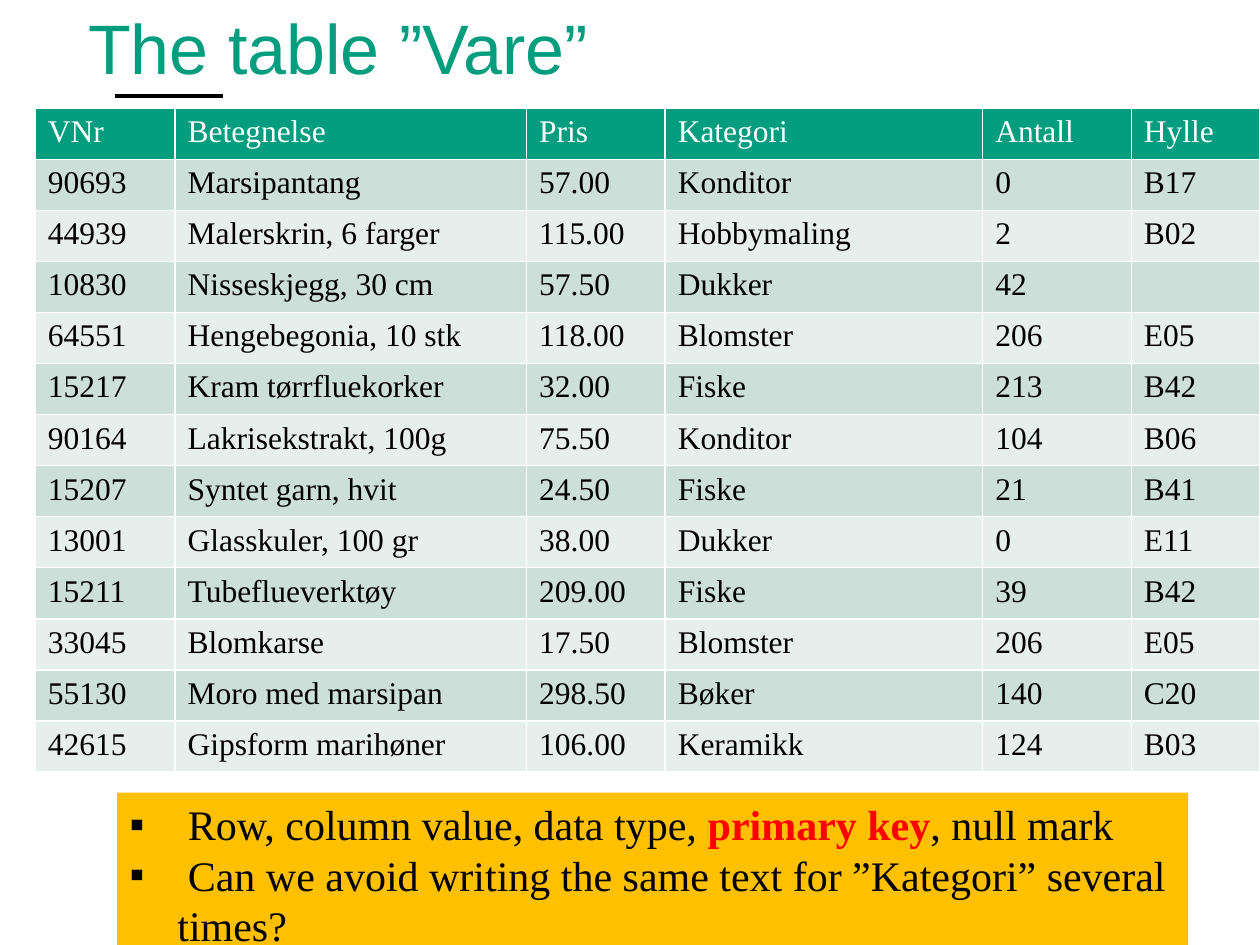
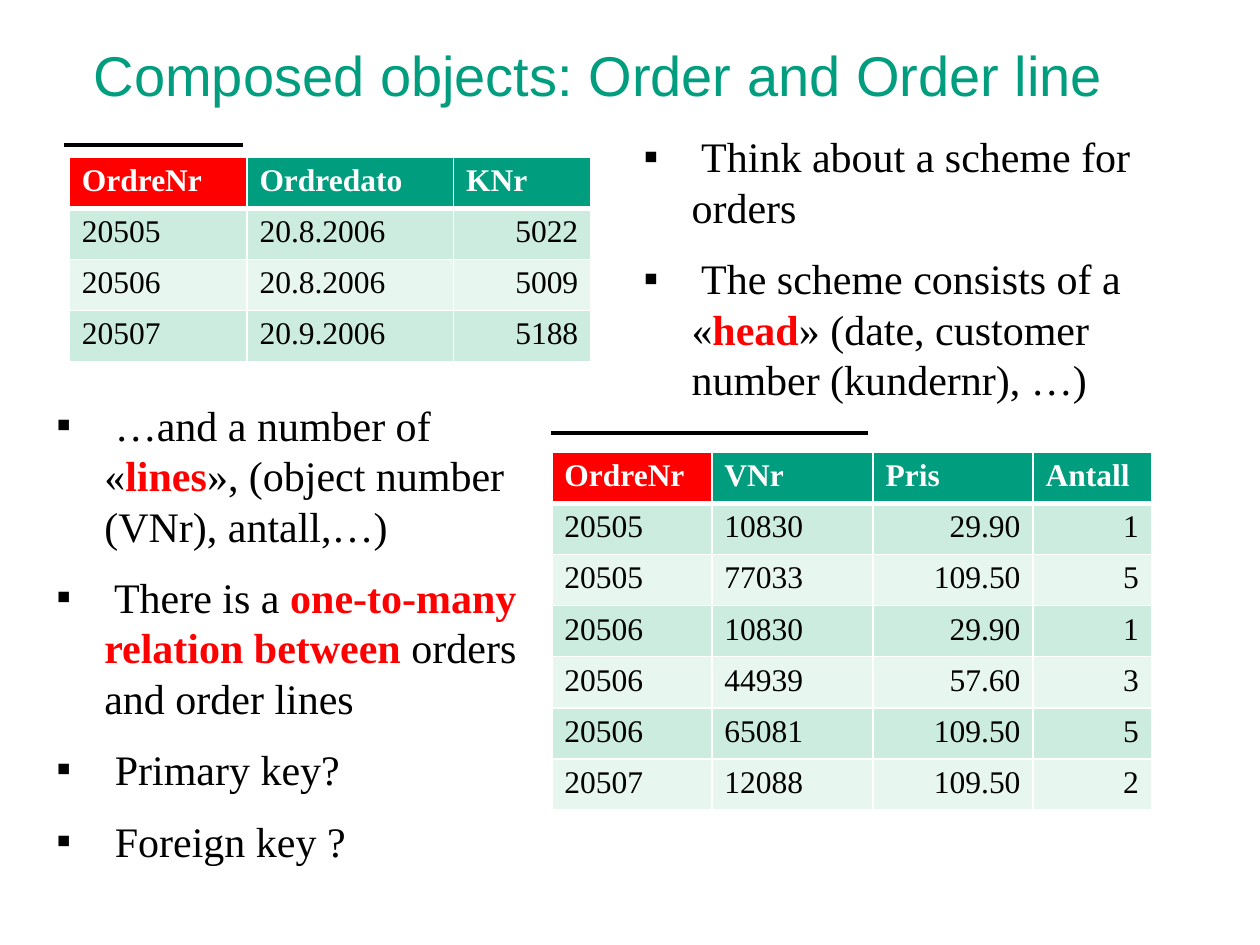
"""Build two slides on relational tables: the Vare table, and orders with order lines."""
from lxml import etree
from pptx import Presentation
from pptx.dml.color import RGBColor
from pptx.enum.shapes import MSO_CONNECTOR, MSO_SHAPE
from pptx.enum.text import MSO_ANCHOR, PP_ALIGN
from pptx.oxml.ns import qn
from pptx.util import Inches, Pt

STRAIGHT = MSO_CONNECTOR.STRAIGHT
RECTANGLE = MSO_SHAPE.RECTANGLE
TOP, BOTTOM = MSO_ANCHOR.TOP, MSO_ANCHOR.BOTTOM
LEFT, RIGHT = PP_ALIGN.LEFT, PP_ALIGN.RIGHT

GREEN = RGBColor(0x00, 0x9D, 0x7F)
RED = RGBColor(0xFF, 0x00, 0x00)
AMBER = RGBColor(0xFF, 0xC0, 0x00)
BLACK = RGBColor(0x00, 0x00, 0x00)
WHITE = RGBColor(0xFF, 0xFF, 0xFF)
GREY_BANDS = (RGBColor(0xCC, 0xDF, 0xD8), RGBColor(0xE7, 0xEF, 0xEC))
MINT_BANDS = (RGBColor(0xCB, 0xEC, 0xDE), RGBColor(0xE7, 0xF6, 0xEF))
TITLE_FONT = "Arial"
BODY_FONT = "Times New Roman"


def write(p, text, size=24, color=BLACK, bold=False, font=BODY_FONT):
    r = p.add_run()
    r.text = text
    r.font.size = Pt(size)
    r.font.color.rgb = color
    r.font.bold = bold
    r.font.name = font


def add_bullets(tf, items, gap=0):
    tf.word_wrap = True
    tf.vertical_anchor = TOP
    for i, item in enumerate(items):
        p = tf.paragraphs[0] if i == 0 else tf.add_paragraph()
        p.alignment = LEFT
        p.space_after = Pt(gap)
        pPr = p._p.get_or_add_pPr()
        pPr.set("marL", str(Inches(0.38)))
        pPr.set("indent", str(-Inches(0.38)))
        clr = etree.SubElement(pPr, qn("a:buClr"))
        etree.SubElement(clr, qn("a:srgbClr"), val=str(BLACK))
        etree.SubElement(pPr, qn("a:buFont"), typeface=BODY_FONT)
        etree.SubElement(pPr, qn("a:buChar"), char="▪")
        for j, part in enumerate(item.split("*")):
            write(p, part, color=RED if j % 2 else BLACK, bold=j % 2 == 1)


prs = Presentation()
prs.slide_width = Inches(10)
prs.slide_height = Inches(7.5)
blank = prs.slide_layouts[6]
vare_slide = prs.slides.add_slide(blank)
order_slide = prs.slides.add_slide(blank)

titles = [
    (vare_slide, 0.7, 0.03, 8.5, [("The table ”Vare”", 40)]),
    (order_slide, 0.59, 0.21, 8.74, [(" ", 40), ("Composed objects: Order and Order line", 32)]),
]
for s, left, top, width, runs in titles:
    tf = s.shapes.add_textbox(Inches(left), Inches(top), Inches(width), Inches(0.67)).text_frame
    tf.word_wrap = True
    tf.vertical_anchor = BOTTOM
    tf.margin_left = tf.margin_top = tf.margin_right = tf.margin_bottom = 0
    for text, size in runs:
        write(tf.paragraphs[0], text, size=size, color=GREEN, font=TITLE_FONT)

vare_rows = [
    ("VNr", "Betegnelse", "Pris", "Kategori", "Antall", "Hylle"),
    ("90693", "Marsipantang", "57.00", "Konditor", "0", "B17"),
    ("44939", "Malerskrin, 6 farger", "115.00", "Hobbymaling", "2", "B02"),
    ("10830", "Nisseskjegg, 30 cm", "57.50", "Dukker", "42", ""),
    ("64551", "Hengebegonia, 10 stk", "118.00", "Blomster", "206", "E05"),
    ("15217", "Kram tørrfluekorker", "32.00", "Fiske", "213", "B42"),
    ("90164", "Lakrisekstrakt, 100g", "75.50", "Konditor", "104", "B06"),
    ("15207", "Syntet garn, hvit", "24.50", "Fiske", "21", "B41"),
    ("13001", "Glasskuler, 100 gr", "38.00", "Dukker", "0", "E11"),
    ("15211", "Tubeflueverktøy", "209.00", "Fiske", "39", "B42"),
    ("33045", "Blomkarse", "17.50", "Blomster", "206", "E05"),
    ("55130", "Moro med marsipan", "298.50", "Bøker", "140", "C20"),
    ("42615", "Gipsform marihøner", "106.00", "Keramikk", "124", "B03"),
]
order_rows = [
    ("OrdreNr", "Ordredato", "KNr"),
    ("20505", "20.8.2006", "5022"),
    ("20506", "20.8.2006", "5009"),
    ("20507", "20.9.2006", "5188"),
]
line_rows = [
    ("OrdreNr", "VNr", "Pris", "Antall"),
    ("20505", "10830", "29.90", "1"),
    ("20505", "77033", "109.50", "5"),
    ("20506", "10830", "29.90", "1"),
    ("20506", "44939", "57.60", "3"),
    ("20506", "65081", "109.50", "5"),
    ("20507", "12088", "109.50", "2"),
]
tables = [
    (vare_slide, 0.28, 0.86, 5.27, (1.11, 2.79, 1.1, 2.52, 1.18, 1.02), vare_rows, GREY_BANDS, (), False, 1),
    (order_slide, 0.55, 1.25, 1.62, (1.41, 1.64, 1.09), order_rows, MINT_BANDS, (2,), True, 3),
    (order_slide, 4.38, 3.59, 2.84, (1.27, 1.28, 1.27, 0.94), line_rows, MINT_BANDS, (2, 3), True, 3),
]
for s, left, top, height, widths, rows, bands, right_cols, bold_head, head_rule in tables:
    table = s.shapes.add_table(len(rows), len(widths), Inches(left), Inches(top),
                               Inches(sum(widths)), Inches(height)).table
    for col, width in zip(table.columns, widths):
        col.width = Inches(width)
    for i, row in enumerate(rows):
        for j, text in enumerate(row):
            cell = table.cell(i, j)
            tcPr = cell._tc.get_or_add_tcPr()
            for side in "LRTB":
                thick = (i, side) in ((0, "B"), (1, "T"))
                ln = etree.SubElement(tcPr, qn("a:ln" + side), w=str(Pt(head_rule if thick else 1)))
                fill = etree.SubElement(ln, qn("a:solidFill"))
                etree.SubElement(fill, qn("a:srgbClr"), val=str(WHITE))
            cell.fill.solid()
            p = cell.text_frame.paragraphs[0]
            if i == 0:
                cell.fill.fore_color.rgb = RED if text == "OrdreNr" else GREEN
                write(p, text, size=18, color=WHITE, bold=bold_head)
            else:
                cell.fill.fore_color.rgb = bands[(i - 1) % 2]
                p.alignment = RIGHT if j in right_cols else LEFT
                write(p, text, size=18)

sp = vare_slide.shapes.add_shape(RECTANGLE, Inches(0.93), Inches(6.29), Inches(8.5), Inches(1.31))
sp.shadow.inherit = False
sp.fill.solid()
sp.fill.fore_color.rgb = AMBER
sp.line.fill.background()
add_bullets(sp.text_frame, [
    " Row, column value, data type, *primary key*, null mark",
    " Can we avoid writing the same text for ”Kategori” several times?",
])

notes = [
    (0.35, 3.12, 3.94, 3.94, [
        " …and a number of «*lines*», (object number (VNr), antall,…)",
        " There is a *one-to-many relation between *orders and order lines",
        " Primary key?",
        " Foreign key ?",
    ]),
    (5.01, 0.99, 4.32, 2.32, [
        " Think about a scheme for orders",
        " The scheme consists of a «*head*» (date, customer number (kundernr), …)",
    ]),
]
for left, top, width, height, items in notes:
    box = order_slide.shapes.add_textbox(Inches(left), Inches(top), Inches(width), Inches(height))
    add_bullets(box.text_frame, items, gap=12)

key_lines = [
    (vare_slide, 0.91, 1.77, 0.76),
    (order_slide, 4.37, 6.89, 3.44),
    (order_slide, 0.51, 1.93, 1.15),
]
for s, start, end, y in key_lines:
    line = s.shapes.add_connector(STRAIGHT, Inches(start), Inches(y), Inches(end), Inches(y))
    line.line.color.rgb = BLACK
    line.line.width = Pt(2.25)
    etree.SubElement(line._element.spPr, qn("a:effectLst"))

prs.save("out.pptx")
